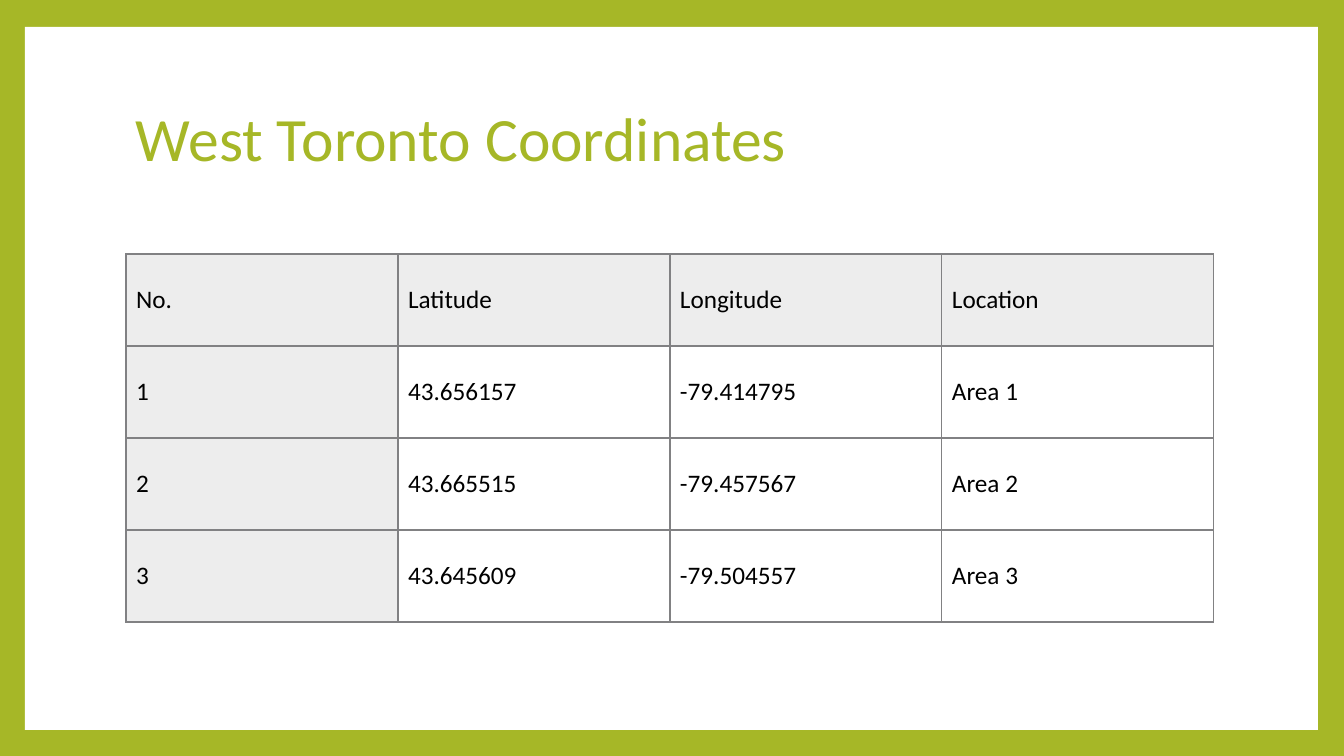
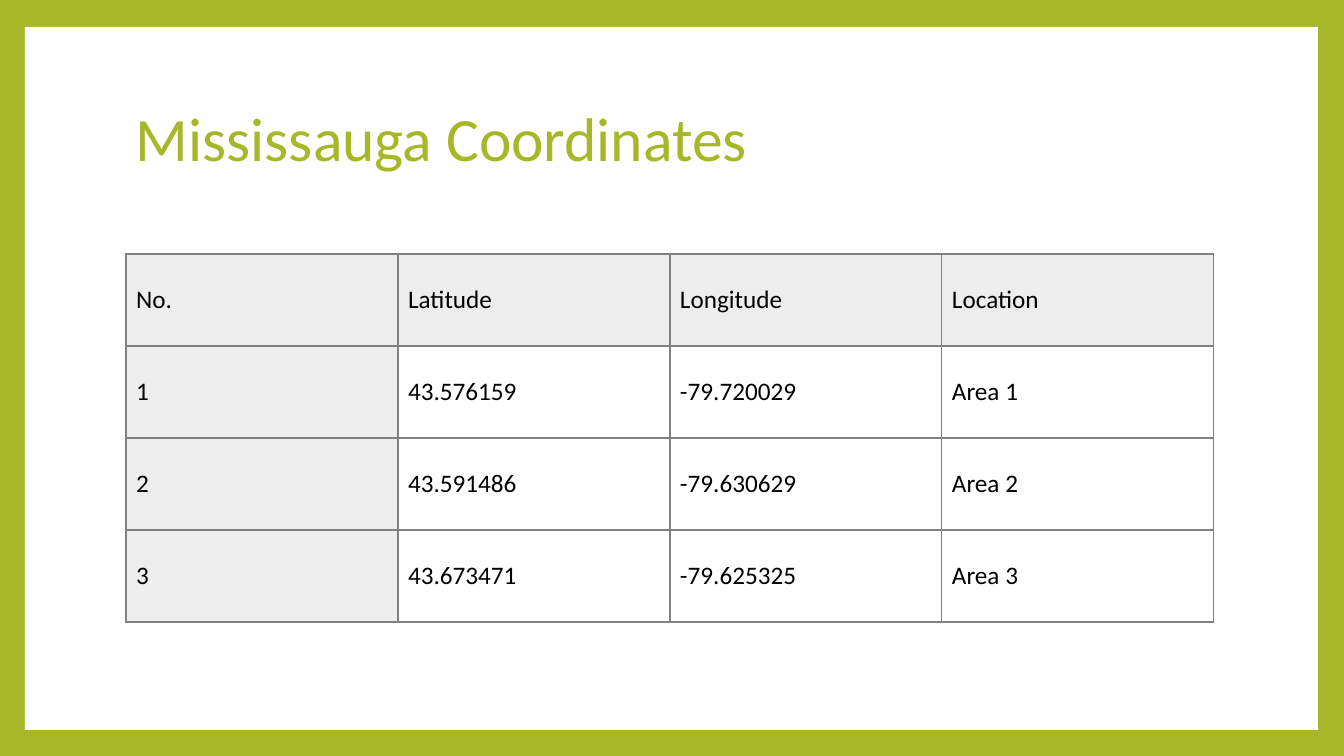
from lxml.etree import SubElement
from pptx import Presentation
from pptx.dml.color import RGBColor
from pptx.enum.shapes import MSO_SHAPE
from pptx.enum.text import MSO_ANCHOR
from pptx.oxml.ns import qn
from pptx.util import Pt

PX = 12192000 / 1344
SLIDE_W, SLIDE_H = 1344, 756
LEFT, CONTENT_W = 126, 1088
PANEL = (25, 27, 1293, 703)
TITLE = (LEFT, 67, CONTENT_W, 149)
TABLE_TOP, ROW_H = 254, 92

GREEN = RGBColor(0xA6, 0xB7, 0x27)
WHITE = RGBColor(0xFF, 0xFF, 0xFF)
BLACK = RGBColor(0x00, 0x00, 0x00)
LABEL_GREY = RGBColor(0xED, 0xED, 0xED)
RULE_GREY = RGBColor(0x81, 0x81, 0x83)

TITLE_FONT = {"name": "Calibri", "size": Pt(44), "color": GREEN}
CELL_FONT = {"name": "Calibri", "size": Pt(18), "color": BLACK}

HEADINGS = ("No.", "Latitude", "Longitude", "Location")
COORDINATES = {
    "West Toronto Coordinates": (
        ("43.656157", "-79.414795"),
        ("43.665515", "-79.457567"),
        ("43.645609", "-79.504557"),
    ),
    "Mississauga Coordinates": (
        ("43.576159", "-79.720029"),
        ("43.591486", "-79.630629"),
        ("43.673471", "-79.625325"),
    ),
}


def emu(*lengths):
    """Turn px lengths into EMU."""
    return [round(length * PX) for length in lengths]


def write(frame, text, font_format):
    """Put one formatted paragraph in a text frame and return it."""
    paragraph = frame.paragraphs[0]
    paragraph.text = text
    font = paragraph.runs[0].font
    for attribute, value in font_format.items():
        if attribute == "color":
            font.color.rgb = value
        else:
            setattr(font, attribute, value)
    return paragraph


prs = Presentation()
prs.slide_width, prs.slide_height = emu(SLIDE_W, SLIDE_H)
blank = prs.slide_layouts[6]
frame_fill = prs.slide_master.background.fill
frame_fill.solid()
frame_fill.fore_color.rgb = GREEN

for region, areas in COORDINATES.items():
    slide = prs.slides.add_slide(blank)

    panel = slide.shapes.add_shape(MSO_SHAPE.RECTANGLE, *emu(*PANEL))
    panel.shadow.inherit = False
    panel.fill.solid()
    panel.fill.fore_color.rgb = WHITE
    panel.line.fill.background()

    title = slide.shapes.add_textbox(*emu(*TITLE)).text_frame
    title.word_wrap = True
    title.vertical_anchor = MSO_ANCHOR.MIDDLE
    write(title, region, TITLE_FONT).line_spacing = 0.9

    rows = [HEADINGS]
    for number, (latitude, longitude) in enumerate(areas, 1):
        rows.append((str(number), latitude, longitude, f"Area {number}"))

    table = slide.shapes.add_table(
        len(rows), len(HEADINGS),
        *emu(LEFT, TABLE_TOP, CONTENT_W, ROW_H * len(rows))).table
    table.first_row = False
    table.horz_banding = False

    for r, row in enumerate(rows):
        for c, text in enumerate(row):
            cell = table.cell(r, c)
            cell.vertical_anchor = MSO_ANCHOR.MIDDLE
            write(cell.text_frame, text, CELL_FONT)

            properties = cell._tc.get_or_add_tcPr()
            for side in ("a:lnL", "a:lnR", "a:lnT", "a:lnB"):
                border = SubElement(properties, qn(side), w=str(Pt(1)))
                border_fill = SubElement(border, qn("a:solidFill"))
                SubElement(border_fill, qn("a:srgbClr"), val=str(RULE_GREY))

            if r == 0 or c == 0:
                cell.fill.solid()
                cell.fill.fore_color.rgb = LABEL_GREY
            else:
                cell.fill.background()

prs.save("out.pptx")
